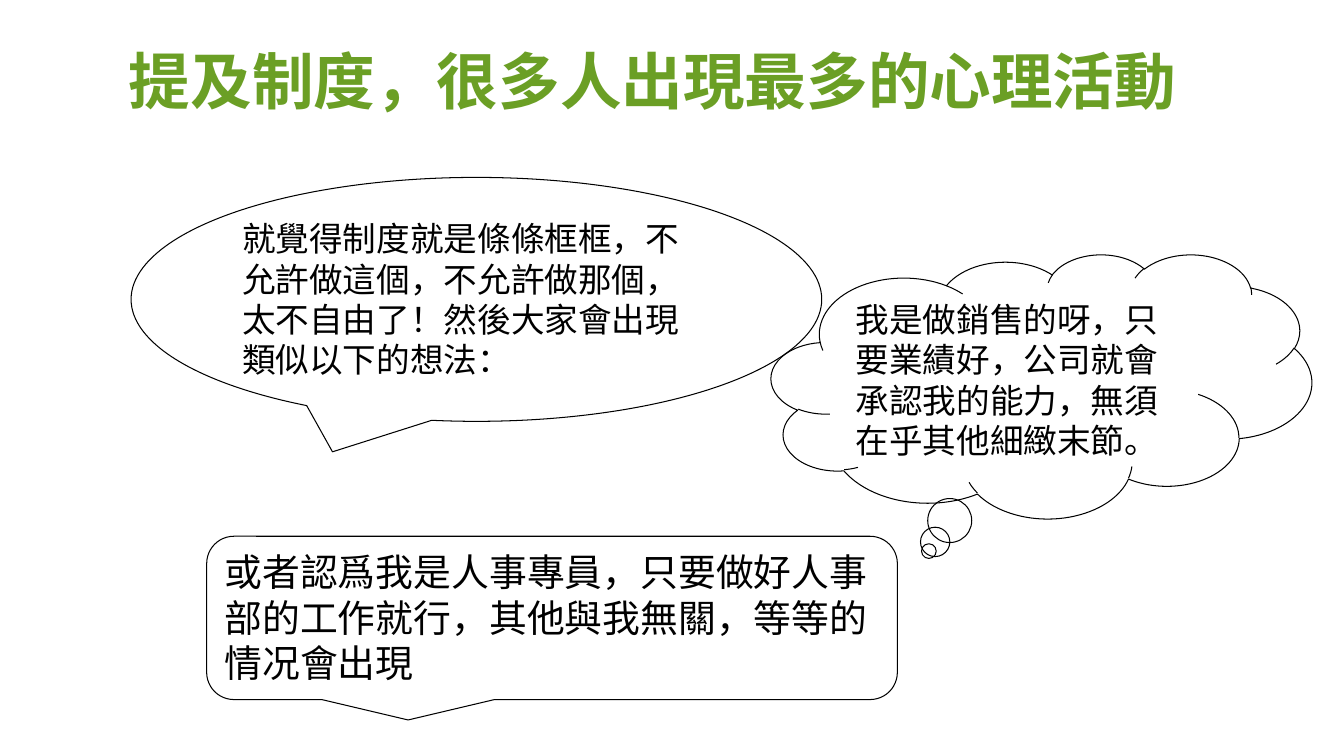
from dataclasses import dataclass

from pptx import Presentation
from pptx import util as u
from pptx.dml import color
from pptx.enum import shapes, text
from pptx.oxml import ns

FONT = "Noto Sans CJK SC"
GREEN = "6B9F25"
BLACK = "000000"


@dataclass
class Callout:
    kind: shapes.MSO_SHAPE
    left: float
    top: float
    width: float
    height: float
    size: int
    words: str


CALLOUTS = [
    Callout(shapes.MSO_SHAPE.ROUNDED_RECTANGULAR_CALLOUT, 2.05, 5.32, 6.85, 1.62, 27,
            "或者認爲我是人事專員，只要做好人事部的工作就行，其他與我無關，等等的情况會出現"),
    Callout(shapes.MSO_SHAPE.CLOUD_CALLOUT, 7.65, 2.52, 5.36, 2.62, 24,
            "我是做銷售的呀，只要業績好，公司就會承認我的能力，無須在乎其他細緻末節。"),
    Callout(shapes.MSO_SHAPE.OVAL_CALLOUT, 1.3, 1.76, 6.85, 2.42, 24,
            "就覺得制度就是條條框框，不允許做這個，不允許做那個，太不自由了！然後大家會出現類似以下的想法："),
]


def rgb(value: str) -> color.RGBColor:
    return color.RGBColor.from_string(value)


def write(sp, words: str, size: int, hue: str, bold: bool = False) -> None:
    tf = sp.text_frame
    tf.text = words
    tf.word_wrap = True
    tf.vertical_anchor = text.MSO_ANCHOR.TOP
    p = tf.paragraphs[0]
    p.alignment = text.PP_ALIGN.LEFT
    r = p.runs[0]
    r.font.name = FONT
    r.font.size = u.Pt(size)
    r.font.bold = bold
    r.font.color.rgb = rgb(hue)
    east_asian = r.font._element.makeelement(ns.qn("a:ea"), {"typeface": FONT})
    r.font._element.append(east_asian)


def draw_callout(s, c: Callout) -> None:
    sp = s.shapes.add_shape(c.kind, u.Inches(c.left), u.Inches(c.top),
                            u.Inches(c.width), u.Inches(c.height))
    sp.shadow.inherit = False
    sp.fill.background()
    sp.line.color.rgb = rgb(BLACK)
    sp.line.width = u.Pt(0.75)
    write(sp, c.words, c.size, BLACK)


def main() -> None:
    prs = Presentation()
    prs.slide_width, prs.slide_height = u.Inches(13.33), u.Inches(7.5)
    s = prs.slides.add_slide(prs.slide_layouts[6])
    title = s.shapes.add_textbox(u.Inches(1.18), u.Inches(0.38),
                                 u.Inches(10.97), u.Inches(0.84))
    write(title, "提及制度，很多人出現最多的心理活動", 44, GREEN, bold=True)
    for c in CALLOUTS:
        draw_callout(s, c)
    prs.save("out.pptx")


if __name__ == "__main__":
    main()
